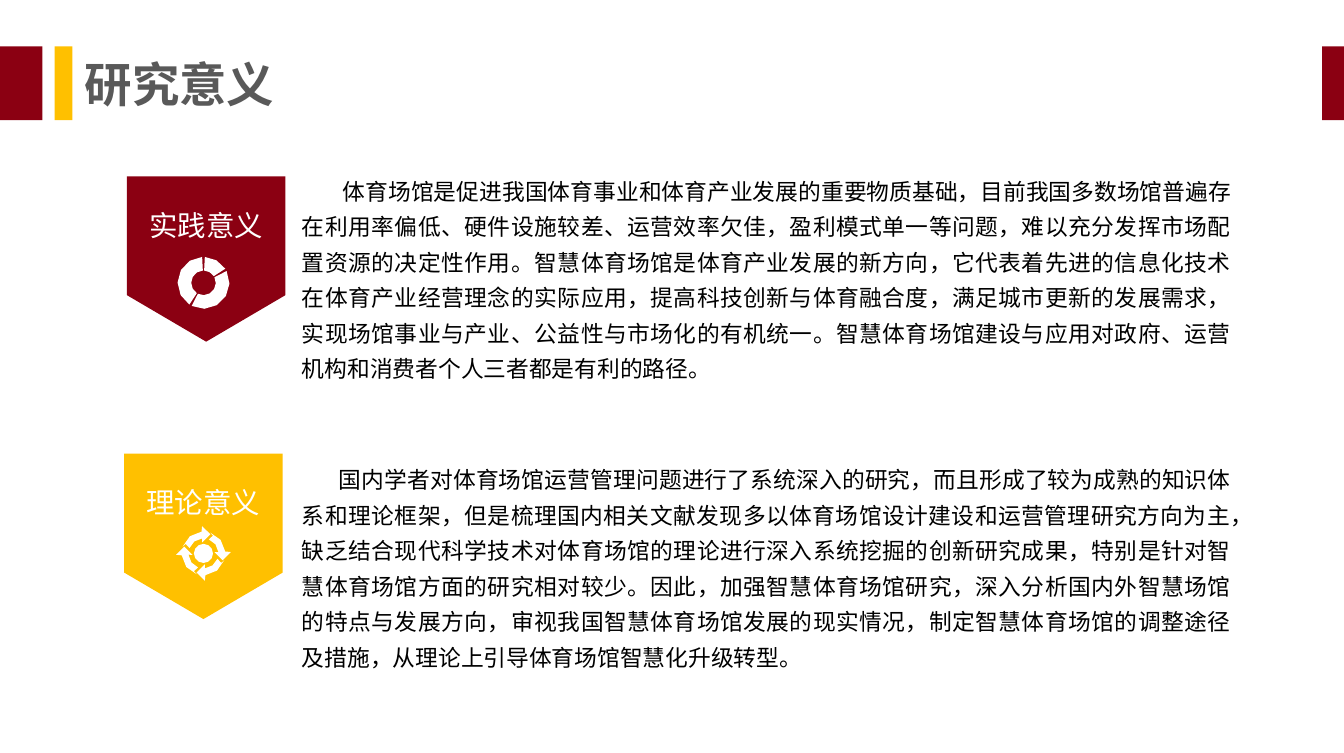
from math import cos, radians, sin

from pptx import Presentation
from pptx.dml.color import RGBColor
from pptx.enum.shapes import MSO_SHAPE
from pptx.enum.text import MSO_ANCHOR, MSO_AUTO_SIZE, PP_ALIGN
from pptx.oxml.ns import qn
from pptx.util import Inches, Pt

RED = RGBColor(0x8B, 0x00, 0x12)
GOLD = RGBColor(0xFF, 0xC0, 0x00)
WHITE = RGBColor(0xFF, 0xFF, 0xFF)
BLACK = RGBColor(0x00, 0x00, 0x00)
GREY = RGBColor(0x59, 0x59, 0x59)

RECTANGLE = MSO_SHAPE.RECTANGLE
TOP, MIDDLE = MSO_ANCHOR.TOP, MSO_ANCHOR.MIDDLE
LEFT, CENTER, JUSTIFY = PP_ALIGN.LEFT, PP_ALIGN.CENTER, PP_ALIGN.JUSTIFY
NO_AUTOFIT = MSO_AUTO_SIZE.NONE
CHINESE_FONT = "Noto Sans CJK SC"

TITLE_FONT = {"name": "Calibri", "size": Pt(25), "bold": True}
BADGE_FONT = {"name": CHINESE_FONT, "size": Pt(15)}
BODY_FONT = {"name": CHINESE_FONT, "size": Pt(12)}

BARS = [(-0.01, 0.32, RED), (0.4, 0.13, GOLD), (9.68, 0.16, RED)]

PRACTICE = (
    "体育场馆是促进我国体育事业和体育产业发展的重要物质基础，目前我国多数场馆普遍存在利用率偏低、"
    "硬件设施较差、运营效率欠佳，盈利模式单一等问题，难以充分发挥市场配置资源的决定性作用。"
    "智慧体育场馆是体育产业发展的新方向，它代表着先进的信息化技术在体育产业经营理念的实际应用，"
    "提高科技创新与体育融合度，满足城市更新的发展需求，实现场馆事业与产业、公益性与市场化的有机统一。"
    "智慧体育场馆建设与应用对政府、运营机构和消费者个人三者都是有利的路径。"
)
THEORY = (
    "国内学者对体育场馆运营管理问题进行了系统深入的研究，而且形成了较为成熟的知识体系和理论框架，"
    "但是梳理国内相关文献发现多以体育场馆设计建设和运营管理研究方向为主，"
    "缺乏结合现代科学技术对体育场馆的理论进行深入系统挖掘的创新研究成果，"
    "特别是针对智慧体育场馆方面的研究相对较少。因此，加强智慧体育场馆研究，"
    "深入分析国内外智慧场馆的特点与发展方向，审视我国智慧体育场馆发展的现实情况，"
    "制定智慧体育场馆的调整途径及措施，从理论上引导体育场馆智慧化升级转型。"
)


def set_attributes(target, values):
    for name, value in values.items():
        setattr(target, name, value)


def place(shape, left, top, width, height):
    set_attributes(shape, {"left": Inches(left), "top": Inches(top),
                           "width": Inches(width), "height": Inches(height)})


def paint(shape, color):
    shape.shadow.inherit = False
    shape.fill.solid()
    shape.fill.fore_color.rgb = color
    shape.line.fill.background()


def write(shape, text, font, color, align, anchor, insets, indent=0, spacing=1.0):
    frame = shape.text_frame
    margins = zip(("left", "top", "right", "bottom"), insets)
    set_attributes(frame, {f"margin_{side}": Inches(size) for side, size in margins})
    set_attributes(frame, {"word_wrap": True, "auto_size": NO_AUTOFIT,
                           "vertical_anchor": anchor})
    para = frame.paragraphs[0]
    set_attributes(para, {"alignment": align, "line_spacing": spacing})
    para._p.get_or_add_pPr().set("indent", str(Inches(indent)))
    span = para.add_run()
    span.text = text
    set_attributes(span.font, font)
    span.font.color.rgb = color
    east_asian = span._r.get_or_add_rPr().makeelement(
        qn("a:ea"), {"typeface": CHINESE_FONT})
    span.font._element.find(qn("a:latin")).addnext(east_asian)


def add_outline(page, contours, color, center=(0, 0)):
    contours = [[(Inches(center[0] + x), Inches(center[1] + y)) for x, y in contour]
                for contour in contours]
    builder = page.shapes.build_freeform(*contours[0][0])
    for number, contour in enumerate(contours):
        if number:
            builder.move_to(*contour[0])
        builder.add_line_segments(contour[1:], close=True)
    shape = builder.convert_to_shape()
    paint(shape, color)
    return shape


def arc(radius, start, end, steps):
    angles = [radians(start + (end - start) * i / steps) for i in range(steps + 1)]
    return [(radius * cos(angle), radius * sin(angle)) for angle in angles]


def rotate(points, degrees):
    c, s = cos(radians(degrees)), sin(radians(degrees))
    return [(x * c - y * s, x * s + y * c) for x, y in points]


def split_ring():
    sectors = [(-87, -33, 2), (-27, 117, 5), (123, 267, 5)]
    return [arc(0.19, start, end, steps) + arc(0.09, end, start, steps)
            for start, end, steps in sectors]


def arrow_cycle():
    head = [(0.2, -0.01), (0.14, 0.05), (0.08, -0.01)]
    arrow = arc(0.16, -72, -5, 2) + head + arc(0.11, -5, -69, 2) + [(0.07, -0.13)]
    return [rotate(arrow, 90 * turn) for turn in range(4)] + [arc(0.07, 0, 330, 11)]


def add_badge(page, left, top, label, color):
    outline = [(0, 0), (1.16, 0), (1.16, 0.87), (0.58, 1.21), (0, 0.87)]
    badge = add_outline(page, [outline], color, (left, top))
    write(badge, label, BADGE_FONT, WHITE, CENTER, TOP, (0.07, 0.23, 0.07, 0.04))


def add_body(page, top, height, text, indent):
    box = page.shapes.add_textbox(0, 0, 0, 0)
    place(box, 2.14, top, 6.95, height)
    write(box, text, BODY_FONT, BLACK, JUSTIFY, TOP,
          (0.07, 0.04, 0.07, 0.04), indent, 1.3)


def add_bar(page, left, width, color):
    bar = page.shapes.add_shape(RECTANGLE, Inches(left), Inches(0.34),
                                Inches(width), Inches(0.54))
    paint(bar, color)


def main():
    deck = Presentation()
    set_attributes(deck, {"slide_width": Inches(9.84), "slide_height": Inches(5.51)})
    page = deck.slides.add_slide(deck.slide_layouts[5])
    title = page.shapes.title
    place(title, 0.62, 0.4, 1.77, 0.42)
    write(title, "研究意义", TITLE_FONT, GREY, LEFT, MIDDLE, (0, 0, 0, 0))
    add_badge(page, 0.93, 1.29, "实践意义", RED)
    add_badge(page, 0.91, 3.32, "理论意义", GOLD)
    add_outline(page, arrow_cycle(), WHITE, (1.49, 4.05))
    add_outline(page, split_ring(), WHITE, (1.49, 2.07))
    add_body(page, 1.2, 1.83, PRACTICE, 0.3)
    add_body(page, 3.31, 1.62, THEORY, 0.27)
    for bar in BARS:
        add_bar(page, *bar)
    deck.save("out.pptx")


if __name__ == "__main__":
    main()
